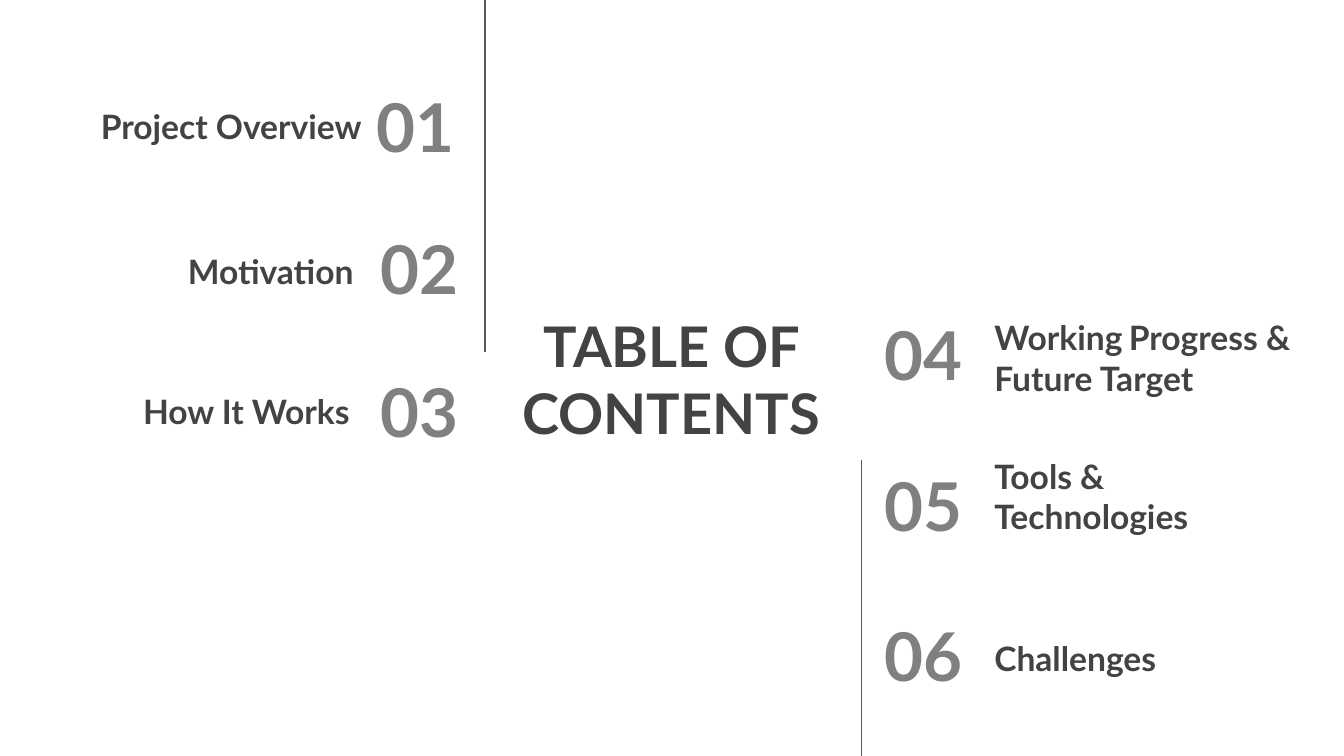
import pptx
import pptx.dml.color
import pptx.enum.shapes
import pptx.enum.text
import pptx.oxml
import pptx.oxml.ns
import pptx.util

Inches = pptx.util.Inches
Align = pptx.enum.text.PP_ALIGN
Anchor = pptx.enum.text.MSO_ANCHOR

DARK = pptx.dml.color.RGBColor(0x43, 0x43, 0x43)
GREY = pptx.dml.color.RGBColor(0x80, 0x80, 0x80)
RULE = pptx.dml.color.RGBColor(0x59, 0x59, 0x59)

NUMBER_HEIGHT = 0.63

# Number, its shift to the right, label runs with sizes, and the label's
# box (left, top, width, height) measured from the column's left and row's top.
LEFT_ENTRIES = [
    ("01", -0.03, [("Project Overview", 18)], (-1.78, 0.17, 2.27, 0.4)),
    ("02", 0, [("Motivation", 18)], (-1.73, 0.19, 2.16, 0.4)),
    ("03", 0, [("How It Works", 18)], (-1.76, 0.17, 2.16, 0.4)),
]
RIGHT_ENTRIES = [
    ("04", 0, [("Working", 18), (" ", 14), ("Progress & Future Target", 18)],
     (0.82, 0, 2.45, 0.74)),
    ("05", 0, [("Tools & Technologies", 18)], (0.82, -0.03, 2.45, 0.68)),
    ("06", 0, [("Challenges", 18)], (0.82, 0.13, 2.16, 0.46)),
]


def add_text(slide, box, runs, color, align, anchor):
    """Add one paragraph made of (text, size) runs inside box, in inches."""
    frame = slide.shapes.add_textbox(*map(Inches, box)).text_frame
    frame_format = {"word_wrap": True, "vertical_anchor": anchor}
    for side in ("left", "top", "right", "bottom"):
        frame_format[f"margin_{side}"] = Inches(0.1)
    for name, value in frame_format.items():
        setattr(frame, name, value)
    paragraph = frame.paragraphs[0]
    paragraph.alignment = align
    for text, size in runs:
        run = paragraph.add_run()
        run.text = text
        font_format = {"name": "Lato", "size": pptx.util.Pt(size), "bold": True}
        for name, value in font_format.items():
            setattr(run.font, name, value)
        run.font.color.rgb = color


def add_entries(slide, box, pitch, entries, align):
    """Stack entries; box is left, top and width of the number column."""
    left, top, width = box
    for row, (number, shift, label, label_box) in enumerate(entries):
        row_top = top + row * pitch
        add_text(slide, (left + shift, row_top, width, NUMBER_HEIGHT),
                 [(number, 36)], GREY, align, Anchor.MIDDLE)
        dx, dy, label_width, label_height = label_box
        add_text(slide, (left + dx, row_top + dy, label_width, label_height),
                 label, DARK, align, Anchor.BOTTOM)


def add_vertical_rule(slide, x, top, bottom):
    rule = slide.shapes.add_connector(
        pptx.enum.shapes.MSO_CONNECTOR.STRAIGHT,
        *map(Inches, (x, top, x, bottom)))
    rule.line.color.rgb = RULE
    rule.line.width = pptx.util.Pt(0.75)
    rule._element.spPr.append(pptx.oxml.parse_xml(
        f"<a:effectLst {pptx.oxml.ns.nsdecls('a')}/>"))


def main():
    deck = pptx.Presentation()
    deck.slide_width = Inches(10)
    deck.slide_height = deck.slide_width * 9 // 16
    slide = deck.slides.add_slide(deck.slide_layouts[6])

    add_text(slide, (3.7, 2.3, 2.59, 1.03), [("TABLE OF CONTENTS", 30)],
             DARK, Align.CENTER, Anchor.MIDDLE)
    add_entries(slide, (2.3, 0.62, 1.21), 1.06, LEFT_ENTRIES, Align.RIGHT)
    add_entries(slide, (6.48, 2.32, 1.17), 1.12, RIGHT_ENTRIES, Align.LEFT)
    add_vertical_rule(slide, 3.61, 0, 2.62)
    add_vertical_rule(slide, 6.41, 3.42, 5.64)

    deck.save("out.pptx")


if __name__ == "__main__":
    main()
